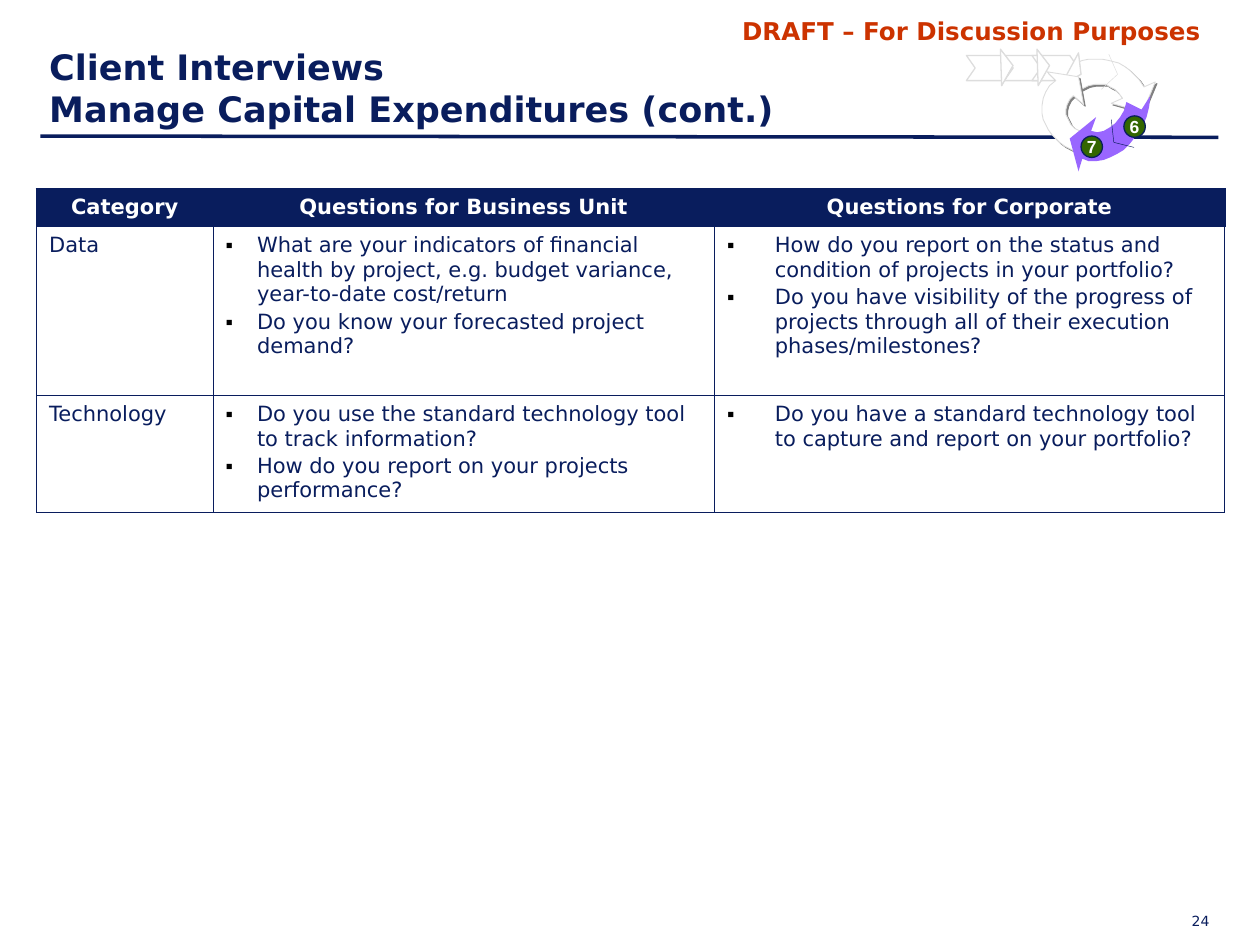
from lxml import etree
from pptx import Presentation
from pptx.dml.color import RGBColor
from pptx.enum.shapes import MSO_CONNECTOR, MSO_SHAPE
from pptx.enum.text import MSO_ANCHOR, MSO_AUTO_SIZE, PP_ALIGN
from pptx.oxml.ns import qn
from pptx.util import Inches, Pt

COLORS = {"navy": "091D5D", "red": "CC3300", "white": "FFFFFF", "black": "000000",
          "pale": "DDDDDD", "gray": "808080", "purple": "9966FF", "green": "336600"}
FONT = "DejaVu Sans"

TITLE = ["Client Interviews", "Manage Capital Expenditures (cont.)"]
HEADERS = ["Category", "Questions for Business Unit", "Questions for Corporate"]
ROWS = [
    ("Data",
     ["What are your indicators of financial health by project, e.g. budget variance, "
      "year-to-date cost/return",
      "Do you know your forecasted project demand?"],
     ["How do you report on the status and condition of projects in your portfolio?",
      "Do you have visibility of the progress of projects through all of their execution "
      "phases/milestones?"]),
    ("Technology",
     ["Do you use the standard technology tool to track information?",
      "How do you report on your projects performance?"],
     ["Do you have a standard technology tool to capture and report on your portfolio?"]),
]
COL_WIDTHS = [1.4, 3.98, 4.05]
ROW_HEIGHTS = [0.3, 1.34, 0.93]
INDENTS = [0, 0.25, 0.38]

# Outlines of the process cycle
TOP_ARROW = [
    (8.8, 0.48), (8.84, 0.49), (8.88, 0.5), (8.93, 0.53), (8.97, 0.56), (9, 0.59),
    (9.04, 0.63), (9.08, 0.69), (9.17, 0.65), (9.07, 0.89), (8.82, 0.82), (8.91, 0.78),
    (8.88, 0.74), (8.85, 0.71), (8.81, 0.69), (8.78, 0.67), (8.73, 0.67), (8.69, 0.67),
    (8.64, 0.68), (8.58, 0.71), (8.41, 0.59), (8.45, 0.56), (8.49, 0.53), (8.54, 0.5),
    (8.59, 0.48), (8.64, 0.47), (8.7, 0.47), (8.75, 0.47)]
LEFT_ARROW = [
    (8.53, 1.2), (8.49, 1.18), (8.45, 1.16), (8.41, 1.13), (8.38, 1.1), (8.35, 1.07),
    (8.32, 1.03), (8.3, 0.99), (8.28, 0.95), (8.27, 0.9), (8.27, 0.84), (8.28, 0.78),
    (8.3, 0.73), (8.33, 0.68), (8.38, 0.64), (8.31, 0.57), (8.56, 0.61), (8.6, 0.83),
    (8.52, 0.76), (8.49, 0.79), (8.47, 0.83), (8.46, 0.87), (8.46, 0.91), (8.48, 0.95),
    (8.5, 0.99), (8.53, 1.02), (8.57, 1.04)]
RIGHT_ARROW = [
    (8.64, 1.28), (8.7, 1.28), (8.76, 1.27), (8.81, 1.25), (8.87, 1.22), (8.92, 1.19),
    (8.96, 1.15), (9, 1.1), (9.04, 1.06), (9.07, 1), (9.1, 0.93), (9.12, 0.85),
    (9.13, 0.76), (9.06, 0.87), (8.94, 0.81), (8.92, 0.88), (8.89, 0.93), (8.85, 0.98),
    (8.81, 1.01), (8.76, 1.04), (8.71, 1.05), (8.66, 1.04), (8.7, 0.93), (8.49, 1.1),
    (8.56, 1.36), (8.59, 1.26)]
CHEVRON_LEFTS = [7.97, 7.67, 8.19]
# Arrow heads: two ends and the tip between them
HEADS = [[(7.94, 0.39), (8.04, 0.52), (7.95, 0.68)],
         [(8.23, 0.39), (8.33, 0.52), (8.24, 0.68)],
         [(8.56, 0.42), (8.58, 0.59), (8.42, 0.68)]]
TOP_TICK = [(8.8, 0.43), (8.87, 0.59), (8.74, 0.71)]
RIGHT_TICK = [(9, 1.17), (8.84, 1.13), (8.82, 0.95)]
STEPS = [("6", 8.92, 0.92), ("7", 8.58, 1.08)]


def rgb(name):
    return RGBColor.from_string(COLORS[name])


def add_run(p, text, size, color="navy", bold=False, font=FONT):
    r = p.add_run()
    r.text = text
    r.font.name, r.font.size, r.font.bold = font, Pt(size), bold
    r.font.color.rgb = rgb(color)


def add_label(s, text, box, size, color, align, bold=False, inset=(0.1, 0.05)):
    tf = s.shapes.add_textbox(*map(Inches, box)).text_frame
    tf.word_wrap = True
    tf.margin_left = tf.margin_right = Inches(inset[0])
    tf.margin_top = tf.margin_bottom = Inches(inset[1])
    tf.paragraphs[0].alignment = align
    add_run(tf.paragraphs[0], text, size, color, bold)


def add_line(s, start, end, color, width):
    c = s.shapes.add_connector(MSO_CONNECTOR.STRAIGHT, *map(Inches, start + end))
    c.line.color.rgb = rgb(color)
    c.line.width = Pt(width)
    etree.SubElement(c._element.spPr, qn("a:effectLst"))


def add_tick(s, points, color):
    for start, end in zip(points, points[1:]):
        add_line(s, start, end, color, 0.25)


def add_outline(s, points, fill="white", line=0.75, shadow=False):
    corners = [(Inches(x), Inches(y)) for x, y in points]
    fb = s.shapes.build_freeform(*corners[0])
    fb.add_line_segments(corners[1:], close=True)
    sp = fb.convert_to_shape()
    sp.shadow.inherit = False
    sp.fill.solid()
    sp.fill.fore_color.rgb = rgb(fill)
    if line:
        sp.line.color.rgb = rgb("pale")
        sp.line.width = Pt(line)
    else:
        sp.line.fill.background()
    if shadow:
        effects = sp._element.spPr.find(qn("a:effectLst"))
        outer = etree.SubElement(effects, qn("a:outerShdw"), dist=str(Pt(1.4)),
                                 dir="2700000", algn="ctr", rotWithShape="0")
        etree.SubElement(outer, qn("a:srgbClr"), val=COLORS["gray"])


def set_bullet(p, indent):
    pPr = p._p.get_or_add_pPr()
    pPr.set("marL", str(Inches(indent)))
    pPr.set("indent", str(-Inches(indent)))
    color = etree.SubElement(pPr, qn("a:buClr"))
    etree.SubElement(color, qn("a:srgbClr"), val=COLORS["black"])
    etree.SubElement(pPr, qn("a:buFont"), typeface="Arial")
    etree.SubElement(pPr, qn("a:buChar"), char="▪")
    p.space_after = Pt(1.5)


def set_borders(cell, row, col):
    tcPr = cell._tc.get_or_add_tcPr()
    heavy = {"lnL": row == 0 and col == 0, "lnR": row == 0 and col == 2,
             "lnT": row == 0, "lnB": False}
    for i, (tag, thick) in enumerate(heavy.items()):
        ln = etree.Element(qn("a:" + tag), w=str(Pt(1.08 if thick else 0.45)))
        fill = etree.SubElement(ln, qn("a:solidFill"))
        etree.SubElement(fill, qn("a:srgbClr"), val=COLORS["navy"])
        tcPr.insert(i, ln)


def add_questions(s):
    table = s.shapes.add_table(3, 3, Inches(0.29), Inches(1.5), Inches(sum(COL_WIDTHS)),
                               Inches(sum(ROW_HEIGHTS))).table
    for column, width in zip(table.columns, COL_WIDTHS):
        column.width = Inches(width)
    for row, height in zip(table.rows, ROW_HEIGHTS):
        row.height = Inches(height)
    for i, row in enumerate([HEADERS] + ROWS):
        for j, content in enumerate(row):
            cell = table.cell(i, j)
            cell.fill.solid()
            cell.fill.fore_color.rgb = rgb("white" if i else "navy")
            set_borders(cell, i, j)
            tf = cell.text_frame
            lines = content if isinstance(content, list) else [content]
            for k, text in enumerate(lines):
                p = tf.add_paragraph() if k else tf.paragraphs[0]
                if i and j:
                    set_bullet(p, INDENTS[j])
                p.alignment = PP_ALIGN.LEFT if i else PP_ALIGN.CENTER
                add_run(p, text, 12, "navy" if i else "white", bold=i == 0)


def add_cycle(s):
    add_outline(s, TOP_ARROW, line=0.5, shadow=True)
    for x in CHEVRON_LEFTS:
        add_outline(s, [(x + 0.3, 0.44), (x, 0.44), (x + 0.07, 0.54), (x, 0.64),
                        (x + 0.3, 0.64), (x + 0.37, 0.54)])
    for head in HEADS:
        add_outline(s, head)
        add_tick(s, head, "pale")
    add_tick(s, TOP_TICK, "pale")
    add_outline(s, LEFT_ARROW, line=0.5, shadow=True)
    add_outline(s, RIGHT_ARROW, "purple", line=None)
    add_tick(s, RIGHT_TICK, "navy")
    for number, x, y in STEPS:
        sp = s.shapes.add_shape(MSO_SHAPE.OVAL, *map(Inches, (x, y, 0.17, 0.17)))
        sp.shadow.inherit = False
        sp.fill.solid()
        sp.fill.fore_color.rgb = rgb("green")
        sp.line.color.rgb = rgb("navy")
        sp.line.width = Pt(0.75)
        tf = sp.text_frame
        tf.word_wrap = False
        tf.vertical_anchor = MSO_ANCHOR.MIDDLE
        tf.paragraphs[0].alignment = PP_ALIGN.CENTER
        add_run(tf.paragraphs[0], number, 10, "white", True, "Arial")


def main():
    prs = Presentation()
    prs.slide_width, prs.slide_height = Inches(10), Inches(7.5)
    s = prs.slides.add_slide(prs.slide_layouts[5])

    # Page furniture
    add_label(s, "24", (8.6, 7.24, 1, 0.15), 8, "navy", PP_ALIGN.RIGHT, inset=(0, 0))
    add_line(s, (0.32, 1.08), (9.67, 1.09), "navy", 2)
    add_label(s, "DRAFT – For Discussion Purposes", (5.67, 0.08, 4.08, 0.34), 14, "red",
              PP_ALIGN.CENTER, bold=True)

    # Title
    title = s.shapes.title
    title.left, title.top, title.width, title.height = map(Inches, (0.29, 0.25, 9.43, 0.83))
    tf = title.text_frame
    tf.auto_size = MSO_AUTO_SIZE.NONE
    tf.vertical_anchor = MSO_ANCHOR.BOTTOM
    p = tf.paragraphs[0]
    p.alignment = PP_ALIGN.LEFT
    add_run(p, TITLE[0], 20, bold=True)
    p.add_line_break()
    add_run(p, TITLE[1], 20, bold=True)

    # Table and process cycle
    add_questions(s)
    add_cycle(s)
    prs.save("out.pptx")


if __name__ == "__main__":
    main()
